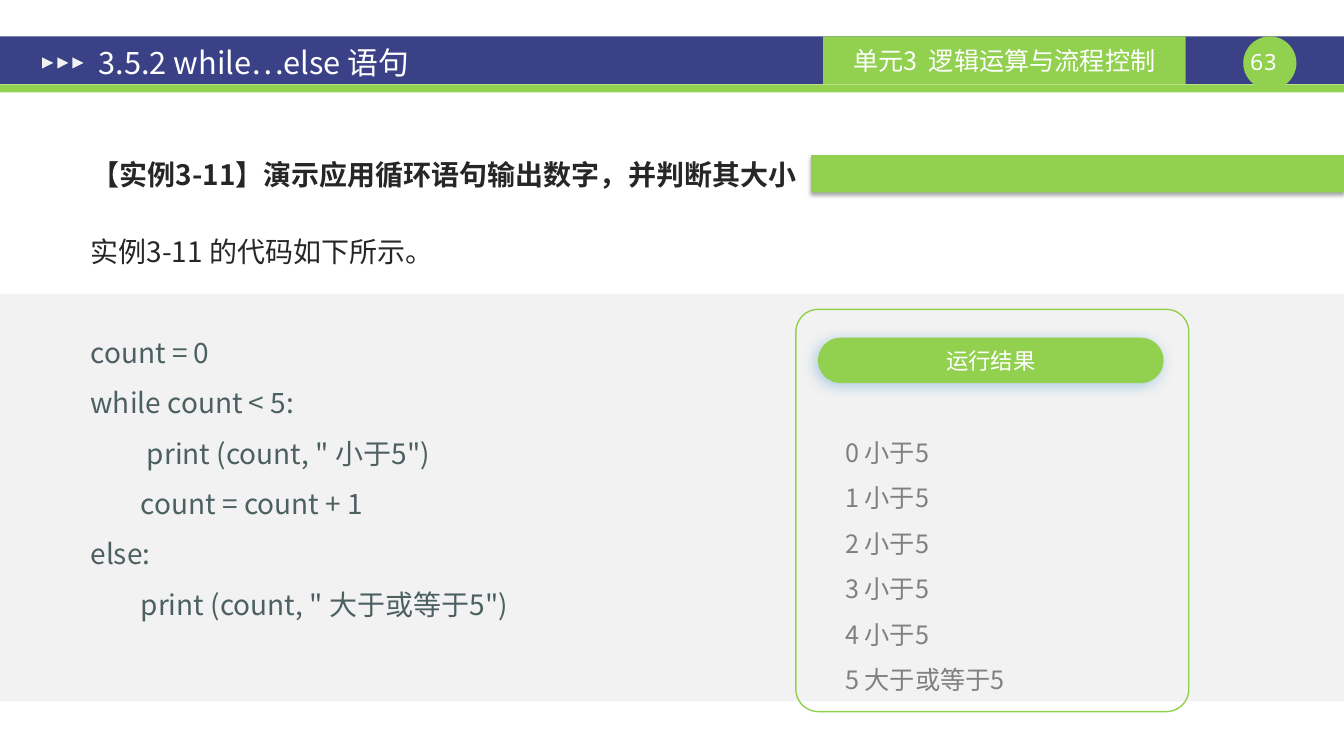
from lxml.etree import SubElement
from pptx import Presentation
from pptx.dml.color import RGBColor
from pptx.enum.shapes import MSO_SHAPE
from pptx.enum.text import MSO_ANCHOR, PP_ALIGN
from pptx.oxml.ns import qn
from pptx.util import Pt

COLORS = {
    "navy": "3A4187", "green": "92D050", "pale": "F2F2F2", "white": "FFFFFF",
    "ink": "262626", "code": "4C6062", "gray": "808080",
    "black": "000000", "blue": "0070C0",
}
SANS, MONO = "Noto Sans CJK SC", "Noto Sans Mono"
SLIDE_W, SLIDE_H = 960.5, 540

CODE = [
    "count = 0",
    "while count < 5:",
    '         print (count, " 小于5")',
    "        count = count + 1",
    "else:",
    '        print (count, " 大于或等于5")',
]
RESULTS = [f"{n} 小于5" for n in range(5)] + ["5 大于或等于5"]


def rgb(name):
    return RGBColor.from_string(COLORS[name])


def write(frame, lines, size, color, font=SANS, bold=False, spacing=1.0,
          align=PP_ALIGN.LEFT, anchor=MSO_ANCHOR.TOP, insets=(7.2, 3.6)):
    frame.text = "\n".join(lines)
    frame.word_wrap = True
    frame.vertical_anchor = anchor
    frame.margin_left = frame.margin_right = Pt(insets[0])
    frame.margin_top = frame.margin_bottom = Pt(insets[1])
    for paragraph in frame.paragraphs:
        paragraph.alignment = align
        paragraph.line_spacing = spacing
        for run in paragraph.runs:
            run.font.size = Pt(size)
            run.font.bold = bold
            run.font.name = font
            run.font.color.rgb = rgb(color)
            SubElement(run.font._element, qn("a:ea")).set("typeface", font)


def add_text(slide, box, lines, size, color, **style):
    label = slide.shapes.add_textbox(*map(Pt, box))
    write(label.text_frame, lines, size, color, **style)


def add_block(slide, box, fill=None, kind=MSO_SHAPE.RECTANGLE, outline=None,
              corner=None):
    block = slide.shapes.add_shape(kind, *map(Pt, box))
    block.shadow.inherit = False
    if fill:
        block.fill.solid()
        block.fill.fore_color.rgb = rgb(fill)
    else:
        block.fill.background()
    if outline:
        block.line.color.rgb = rgb(outline)
        block.line.width = Pt(1)
    else:
        block.line.fill.background()
    if corner is not None:
        block.adjustments[0] = corner
    return block


def cast_shadow(block, color, opacity, blur, distance, angle):
    effects = block._element.spPr.find(qn("a:effectLst"))
    shadow = SubElement(effects, qn("a:outerShdw"), blurRad=str(Pt(blur)),
                        dist=str(Pt(distance)), dir=str(angle * 60000),
                        algn="ctr", rotWithShape="0")
    tint = SubElement(shadow, qn("a:srgbClr"), val=COLORS[color])
    SubElement(tint, qn("a:alpha"), val=str(opacity * 1000))


def add_header(slide):
    add_block(slide, (0, 26, SLIDE_W, 34), "navy")
    add_block(slide, (0, 60.3, SLIDE_W, 5.7), "green")

    # Page number
    add_block(slide, (888.5, 26, 38, 38), "green", MSO_SHAPE.OVAL)
    add_text(slide, (884, 34.5, 38, 19.5), ["63"], 16, "white", font=MONO,
             align=PP_ALIGN.CENTER, insets=(0, 0))

    # Unit name
    unit = add_block(slide, (588.2, 26, 259.2, 34), "green")
    write(unit.text_frame, ["单元3  逻辑运算与流程控制"], 18, "white",
          align=PP_ALIGN.CENTER, anchor=MSO_ANCHOR.MIDDLE)

    # Section title with its arrows
    for i in range(3):
        arrow = add_block(slide, (30.2 + 10.8 * i, 41, 7.9, 7.9), "pale",
                          MSO_SHAPE.ISOSCELES_TRIANGLE)
        arrow.rotation = 90
    add_text(slide, (61.2, 28.8, 581, 31.7), ["3.5.2 while…else 语句"], 22,
             "white", anchor=MSO_ANCHOR.MIDDLE, insets=(9.4, 5))


def add_example(slide):
    add_block(slide, (0, 210.2, SLIDE_W, 290.9), "pale")

    # Heading and its bar
    bar = add_block(slide, (579.6, 110.9, SLIDE_W - 579.6, 26.6), "green")
    cast_shadow(bar, "black", 35, 3.1, 1.8, 90)
    add_text(slide, (58.3, 101.5, 836, 36),
             ["【实例3-11】演示应用循环语句输出数字，并判断其大小"], 20, "ink",
             bold=True, spacing=1.32)

    # Introduction and code
    add_text(slide, (57.6, 151.9, 652, 44), ["实例3-11 的代码如下所示。"], 20,
             "ink", spacing=1.5)
    add_text(slide, (57.6, 224, 500, 224), CODE, 20, "code", spacing=1.5)


def add_results(slide):
    add_block(slide, (568.8, 221, 280.8, 287.3), outline="green",
              kind=MSO_SHAPE.ROUNDED_RECTANGLE, corner=0.057)
    add_text(slide, (596.9, 298.1, 227.5, 203.8), RESULTS, 18, "gray",
             spacing=1.5)
    caption = add_block(slide, (584.6, 241.2, 247, 32.4), "green",
                        MSO_SHAPE.ROUNDED_RECTANGLE, corner=0.5)
    cast_shadow(caption, "blue", 30, 10, 3, 135)
    write(caption.text_frame, ["运行结果"], 16, "white",
          align=PP_ALIGN.CENTER, anchor=MSO_ANCHOR.MIDDLE)


def main():
    deck = Presentation()
    deck.slide_width, deck.slide_height = Pt(SLIDE_W), Pt(SLIDE_H)
    slide = deck.slides.add_slide(deck.slide_layouts[6])
    add_header(slide)
    add_example(slide)
    add_results(slide)
    deck.save("out.pptx")


if __name__ == "__main__":
    main()
